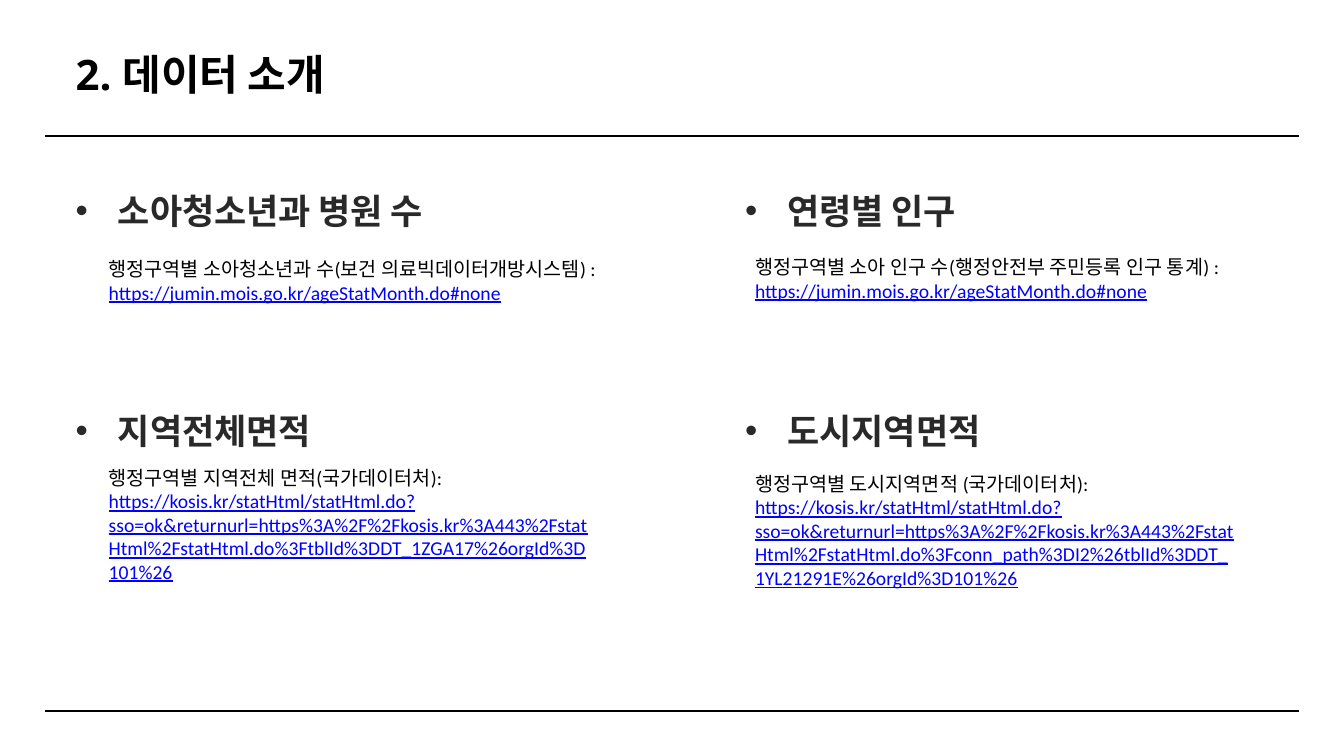
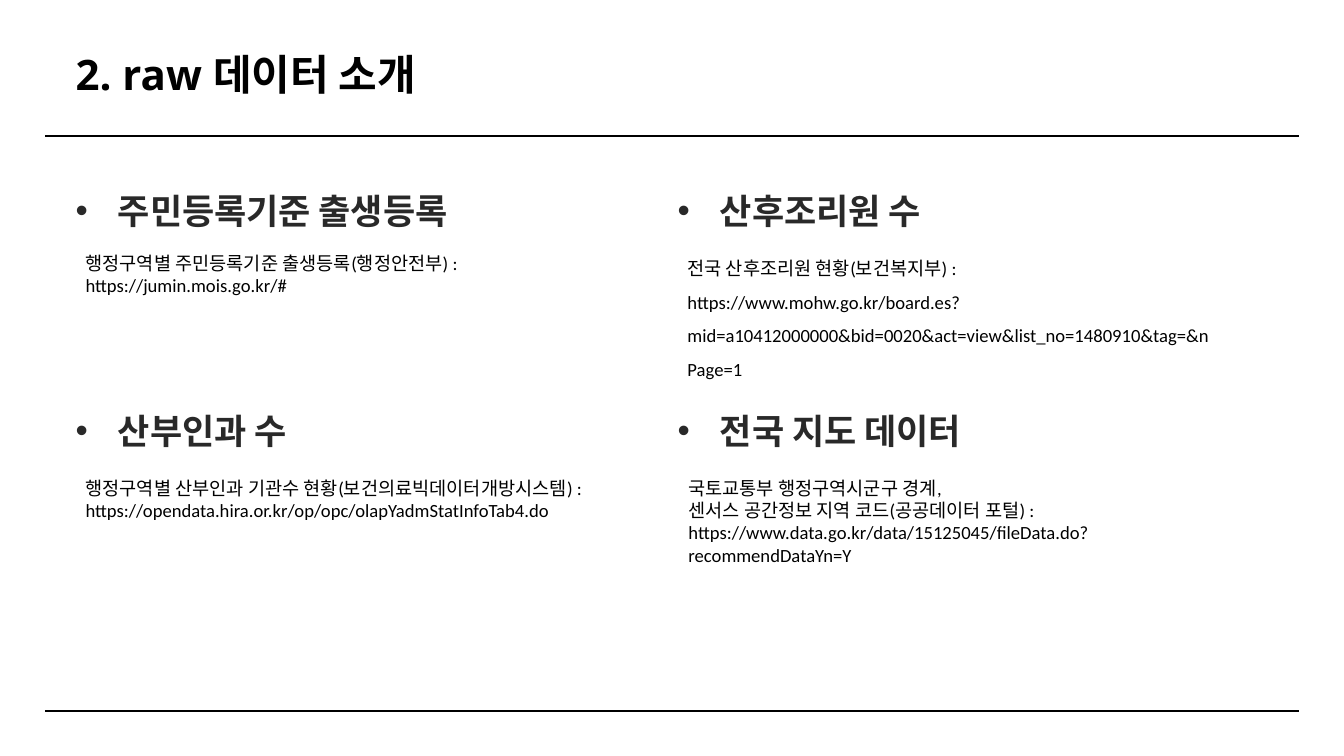
"""Build two slides that introduce the data sources in a two-by-two grid."""
from dataclasses import dataclass

from lxml import etree
from pptx import Presentation
from pptx.dml.color import RGBColor
from pptx.enum.shapes import MSO_CONNECTOR
from pptx.enum.text import MSO_ANCHOR, MSO_AUTO_SIZE, PP_ALIGN
from pptx.oxml.ns import qn
from pptx.util import Pt

STRAIGHT = MSO_CONNECTOR.STRAIGHT
TOP = MSO_ANCHOR.TOP
GROW = MSO_AUTO_SIZE.SHAPE_TO_FIT_TEXT
FIXED = MSO_AUTO_SIZE.NONE
JUSTIFY = PP_ALIGN.JUSTIFY

PX = 9144
TITLE_ONLY = 5
SLIDE_SIZE = (1333, 750)
RULE_X = (45, 1288)
RULE_YS = (135, 705)
TITLE_POS = (75, 56)
HEADING_ROWS = (181, 399)
HEADING_SIZE = (425, 46)
HEADING_INDENT = 42


@dataclass(frozen=True)
class Theme:
    """Colours, fonts and type sizes."""
    ink: RGBColor = RGBColor(0, 0, 0)
    heading: RGBColor = RGBColor(0x29, 0x29, 0x29)
    link: RGBColor = RGBColor(0, 0, 0xFF)
    title_font: str = "Noto Sans"
    body_font: str = "Calibri"
    title_pt: float = 30
    heading_pt: float = 25
    heading_line_pt: float = 35
    rule_pt: float = 1.5


THEME = Theme()

SLIDES = [
    {
        "title": "2. 데이터 소개", "title_w": 353, "columns": (75, 739), "body_pt": 14,
        "items": [
            {"heading": "소아청소년과 병원 수", "box": (98, 250, 538, 80),
             "body": [["행정구역별 소아청소년과 수(보건 의료빅데이터개방시스템) : ",
                       "https://jumin.mois.go.kr/ageStatMonth.do#none"]]},
            {"heading": "연령별 인구", "box": (739, 248, 497, 81),
             "body": [["행정구역별 소아 인구 수(행정안전부 주민등록 인구 통계) : ",
                       "https://jumin.mois.go.kr/ageStatMonth.do#none"]]},
            {"heading": "지역전체면적", "box": (98, 457, 497, 128),
             "body": [["행정구역별 지역전체 면적(국가데이터처):"],
                      ["https://kosis.kr/statHtml/statHtml.do?sso=ok&returnurl="
                       "https%3A%2F%2Fkosis.kr%3A443%2FstatHtml%2FstatHtml.do"
                       "%3FtblId%3DDT_1ZGA17%26orgId%3D101%26"]]},
            {"heading": "도시지역면적", "box": (739, 463, 497, 151),
             "body": [["행정구역별 도시지역면적 (국가데이터처):"],
                      ["https://kosis.kr/statHtml/statHtml.do?sso=ok&returnurl="
                       "https%3A%2F%2Fkosis.kr%3A443%2FstatHtml%2FstatHtml.do"
                       "%3Fconn_path%3DI2%26tblId%3DDT_1YL21291E%26orgId%3D101%26"]]},
        ],
    },
    {
        "title": "2. raw 데이터 소개", "title_w": 419, "columns": (75, 672), "body_pt": 13.3,
        "items": [
            {"heading": "주민등록기준 출생등록", "box": (75, 245, 497, 55),
             "body": [["행정구역별 주민등록기준 출생등록(행정안전부) : "
                       "https://jumin.mois.go.kr/#"]]},
            {"heading": "산후조리원 수", "box": (672, 239, 539, 108), "spacing": 1.5,
             "body": [["전국 산후조리원 현황(보건복지부) : "
                       "https://www.mohw.go.kr/board.es?mid=a10412000000&bid=0020"
                       "&act=view&list_no=1480910&tag=&nPage=1"]]},
            {"heading": "산부인과 수", "box": (75, 468, 570, 55),
             "body": [["행정구역별 산부인과 기관수 현황(보건의료빅데이터개방시스템) : "
                       "https://opendata.hira.or.kr/op/opc/olapYadmStatInfoTab4.do"]]},
            {"heading": "전국 지도 데이터", "box": (673, 468, 577, 100),
             "body": [["국토교통부 행정구역시군구 경계,"],
                      ["센서스 공간정보 지역 코드(공공데이터 포털) : "
                       "https://www.data.go.kr/data/15125045/fileData.do?recommendDataYn=Y"]]},
        ],
    },
]


def px(*values):
    return [v * PX for v in values]


def style(r, font, size, color, bold=False):
    r.font.name = font
    r.font.size = Pt(size)
    r.font.bold = bold
    r.font.color.rgb = color


def set_frame(tf, auto_size, inset=True):
    tf.word_wrap = True
    tf.auto_size = auto_size
    tf.vertical_anchor = TOP
    if not inset:
        tf.margin_left = tf.margin_top = tf.margin_right = tf.margin_bottom = 0


def add_rule(slide, y):
    left, right = RULE_X
    line = slide.shapes.add_connector(STRAIGHT, *px(left, y, right, y))
    line.line.color.rgb = THEME.ink
    line.line.width = Pt(THEME.rule_pt)
    etree.SubElement(line._element.spPr, qn("a:effectLst"))


def set_title(slide, text, width):
    sp = slide.shapes.title
    sp.left, sp.top, sp.width, sp.height = px(*TITLE_POS, width, 42)
    set_frame(sp.text_frame, FIXED, inset=False)
    sp.text_frame.text = text
    p = sp.text_frame.paragraphs[0]
    p.alignment = JUSTIFY
    p.line_spacing = Pt(THEME.title_pt)
    style(p.runs[0], THEME.title_font, THEME.title_pt, THEME.ink, bold=True)


def add_heading(slide, text, x, y):
    tf = slide.shapes.add_textbox(*px(x, y, *HEADING_SIZE)).text_frame
    set_frame(tf, GROW, inset=False)
    tf.text = text
    p = tf.paragraphs[0]
    pPr = p._p.get_or_add_pPr()
    pPr.set("marL", str(HEADING_INDENT * PX))
    pPr.set("indent", str(-HEADING_INDENT * PX))
    etree.SubElement(pPr, qn("a:buFont")).set("typeface", "Arial")
    etree.SubElement(pPr, qn("a:buChar")).set("char", "•")
    p.line_spacing = Pt(THEME.heading_line_pt)
    style(p.runs[0], THEME.title_font, THEME.heading_pt, THEME.heading, bold=True)


def add_body(slide, item, size):
    tf = slide.shapes.add_textbox(*px(*item["box"])).text_frame
    set_frame(tf, GROW)
    for i, parts in enumerate(item["body"]):
        p = tf.add_paragraph() if i else tf.paragraphs[0]
        p.line_spacing = item.get("spacing")
        for part in parts:
            r = p.add_run()
            r.text = part
            is_link = part.startswith("https")
            style(r, THEME.body_font, size, THEME.link if is_link else THEME.ink)
            r.font.underline = is_link


def build_slide(prs, content):
    slide = prs.slides.add_slide(prs.slide_layouts[TITLE_ONLY])
    for y in RULE_YS:
        add_rule(slide, y)
    set_title(slide, content["title"], content["title_w"])
    for i, item in enumerate(content["items"]):
        row, col = divmod(i, 2)
        add_heading(slide, item["heading"], content["columns"][col], HEADING_ROWS[row])
        add_body(slide, item, content["body_pt"])


def main():
    prs = Presentation()
    prs.slide_width, prs.slide_height = px(*SLIDE_SIZE)
    for content in SLIDES:
        build_slide(prs, content)
    prs.save("out.pptx")


if __name__ == "__main__":
    main()
